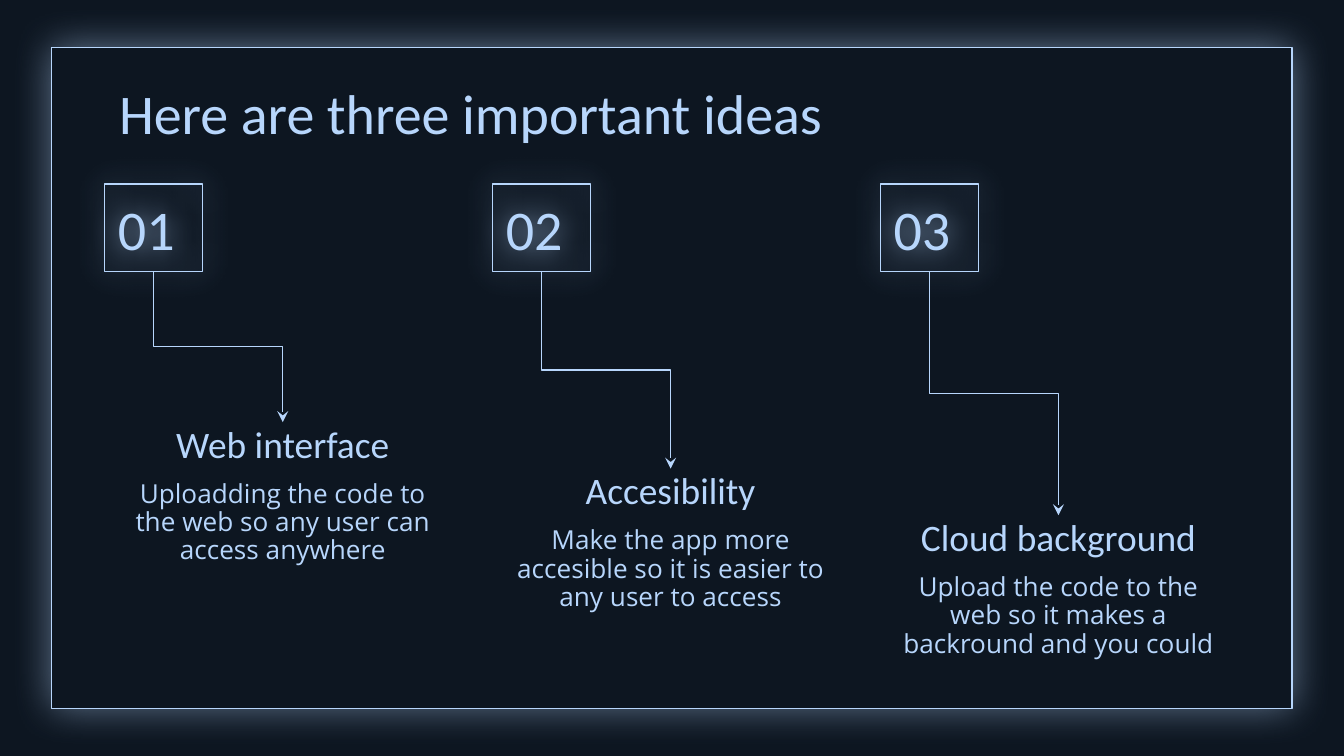
from dataclasses import dataclass

from lxml.etree import SubElement
from pptx import Presentation
from pptx.dml.color import RGBColor
from pptx.enum.shapes import MSO_CONNECTOR as Connector, MSO_SHAPE as Preset
from pptx.enum.text import MSO_ANCHOR as Anchor, PP_ALIGN as Align
from pptx.oxml.ns import qn
from pptx.util import Cm, Pt

COLORS = {"night": "0D1621", "glow": "B7D6FC"}
INSET = 0.25
COLUMN_LEFT, COLUMN_PITCH, COLUMN_WIDTH = 1.98, 7.33, 6.73
BOX_TOP, BOX_WIDTH, BOX_HEIGHT = 3.48, 1.85, 1.65
HEADING_TOP, HEADING_HEIGHT = 7.98, 1.07
BODY_OFFSET, BODY_HEIGHT, DROP = 0.86, 2.21, 0.88


@dataclass(frozen=True)
class Area:
    left: float
    top: float
    width: float
    height: float

    def lengths(self) -> tuple:
        return Cm(self.left), Cm(self.top), Cm(self.width), Cm(self.height)


@dataclass(frozen=True)
class TextStyle:
    font: str
    size: int
    anchor: Anchor = Anchor.TOP
    align: Align = Align.CENTER
    spacing: float = 1.0


@dataclass(frozen=True)
class Idea:
    heading: str
    body: str


TITLE = TextStyle("Calibri", 30, align=Align.LEFT)
NUMBER = TextStyle("Calibri", 30, Anchor.MIDDLE, Align.LEFT)
HEADING = TextStyle("Calibri", 20, Anchor.BOTTOM)
BODY = TextStyle("Open Sans", 14, spacing=0.9)

IDEAS = [
    Idea("Web interface", "Uploadding the code to the web so any user can access anywhere"),
    Idea("Accesibility", "Make the app more accesible so it is easier to any user to access"),
    Idea("Cloud background", "Upload the code to the web so it makes a backround and you could"),
]


def color(name: str) -> RGBColor:
    return RGBColor.from_string(COLORS[name])


def write(shape, text: str, style: TextStyle) -> None:
    frame = shape.text_frame
    frame.word_wrap = True
    frame.vertical_anchor = style.anchor
    frame.margin_left = frame.margin_right = Cm(INSET)
    frame.margin_top = frame.margin_bottom = Cm(INSET)
    paragraph = frame.paragraphs[0]
    paragraph.text = text
    paragraph.alignment = style.align
    paragraph.line_spacing = style.spacing
    paragraph.font.name = style.font
    paragraph.font.size = Pt(style.size)
    paragraph.font.color.rgb = color("glow")


def add_text(slide, area: Area, text: str, style: TextStyle) -> None:
    write(slide.shapes.add_textbox(*area.lengths()), text, style)


def set_line(shape) -> None:
    shape.line.color.rgb = color("glow")
    shape.line.width = Pt(0.75)


def add_glowing_box(slide, area: Area, blur: float, opacity: int):
    shape = slide.shapes.add_shape(Preset.RECTANGLE, *area.lengths())
    shape.fill.background()
    set_line(shape)
    shape.shadow.inherit = False
    effects = shape._element.spPr.find(qn("a:effectLst"))
    shadow = SubElement(effects, qn("a:outerShdw"), blurRad=str(Pt(blur)), dist="0",
                        dir="0", algn="bl", rotWithShape="0")
    tint = SubElement(shadow, qn("a:srgbClr"), val=COLORS["glow"])
    SubElement(tint, qn("a:alpha"), val=str(opacity * 1000))
    return shape


def add_bent_arrow(slide, start_x: float, start_y: float, end_x: float, end_y: float) -> None:
    """Draw an elbow arrow that leaves and arrives vertically."""
    center_x, center_y = (start_x + end_x) / 2, (start_y + end_y) / 2
    half_width, half_height = (end_y - start_y) / 2, (end_x - start_x) / 2
    arrow = slide.shapes.add_connector(
        Connector.ELBOW,
        Cm(center_x + half_width), Cm(center_y - half_height),
        Cm(center_x - half_width), Cm(center_y + half_height))
    set_line(arrow)
    properties = arrow._element.spPr
    properties.find(qn("a:xfrm")).set("rot", str(270 * 60000))
    SubElement(properties.find(qn("a:ln")), qn("a:tailEnd"), type="stealth")
    SubElement(properties, qn("a:effectLst"))


def add_idea(slide, index: int, idea: Idea) -> None:
    left = COLUMN_LEFT + index * COLUMN_PITCH
    heading_top = HEADING_TOP + index * DROP
    add_text(slide, Area(left, heading_top + BODY_OFFSET, COLUMN_WIDTH, BODY_HEIGHT),
             idea.body, BODY)
    add_text(slide, Area(left, heading_top, COLUMN_WIDTH, HEADING_HEIGHT),
             idea.heading, HEADING)
    box = add_glowing_box(slide, Area(left, BOX_TOP, BOX_WIDTH, BOX_HEIGHT), 15.8, 100)
    write(box, f"{index + 1:02}", NUMBER)
    add_bent_arrow(slide, left + BOX_WIDTH / 2, BOX_TOP + BOX_HEIGHT,
                   left + COLUMN_WIDTH / 2, heading_top)


def main() -> None:
    presentation = Presentation()
    presentation.slide_width, presentation.slide_height = Cm(25.4), Cm(14.29)
    slide = presentation.slides.add_slide(presentation.slide_layouts[6])
    slide.background.fill.solid()
    slide.background.fill.fore_color.rgb = color("night")
    frame = add_glowing_box(slide, Area(0.98, 0.9, 23.44, 12.49), 21.4, 50)
    frame.fill.solid()
    frame.fill.fore_color.rgb = color("night")
    add_text(slide, Area(2, 1.24, 21.41, 1.6), "Here are three important ideas", TITLE)
    for index, idea in enumerate(IDEAS):
        add_idea(slide, index, idea)
    presentation.save("out.pptx")


if __name__ == "__main__":
    main()
